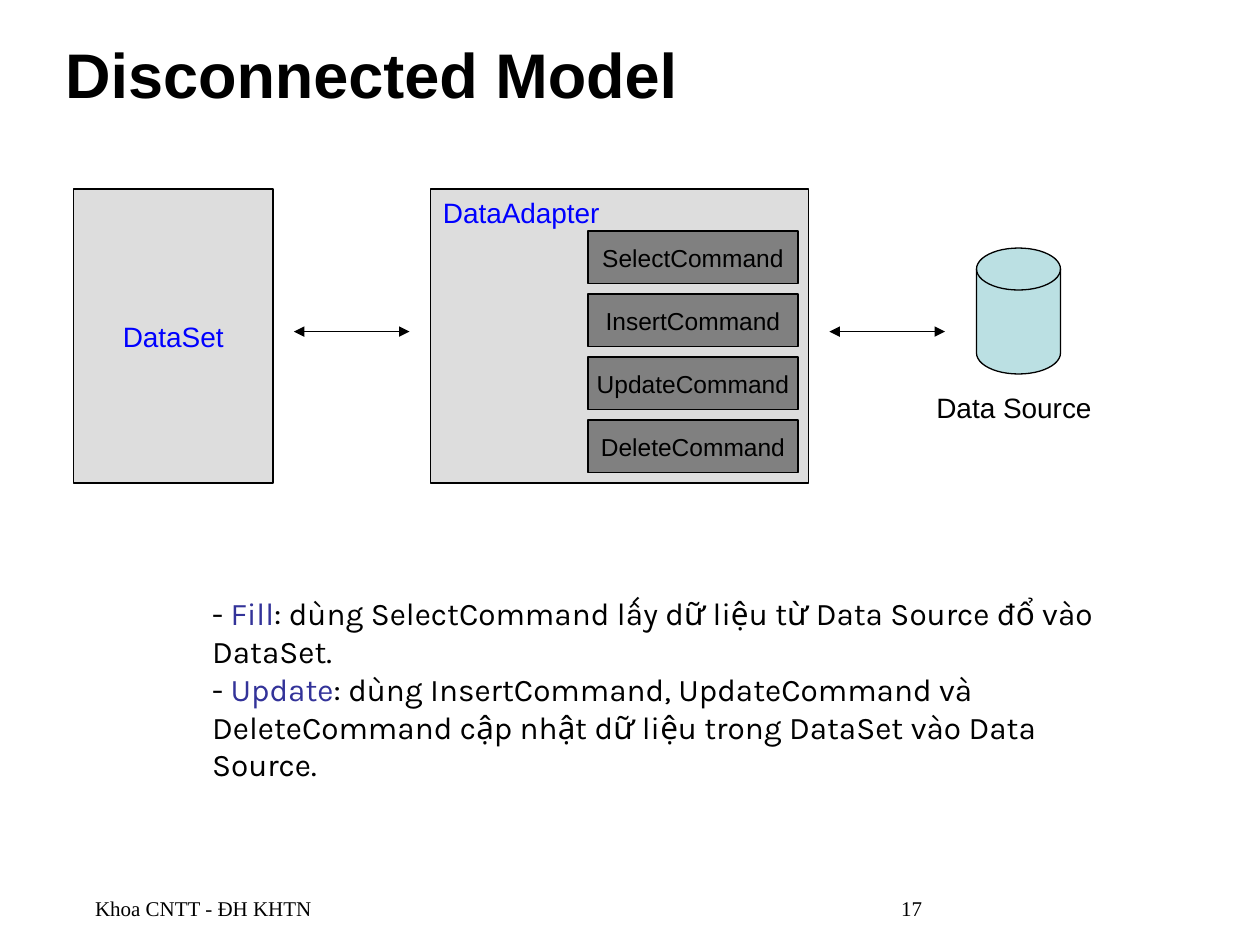
from lxml import etree
from pptx import Presentation
from pptx.dml.color import RGBColor
from pptx.enum.shapes import MSO_CONNECTOR, MSO_SHAPE
from pptx.enum.text import MSO_ANCHOR, MSO_AUTO_SIZE, PP_ALIGN
from pptx.oxml.ns import qn
from pptx.util import Pt

RECTANGLE, DISK = MSO_SHAPE.RECTANGLE, MSO_SHAPE.FLOWCHART_MAGNETIC_DISK
STRAIGHT = MSO_CONNECTOR.STRAIGHT
TOP, MIDDLE = MSO_ANCHOR.TOP, MSO_ANCHOR.MIDDLE
LEFT, CENTER, RIGHT = PP_ALIGN.LEFT, PP_ALIGN.CENTER, PP_ALIGN.RIGHT

BLACK = RGBColor(0, 0, 0)
BLUE = RGBColor(0, 0, 0xFF)
INDIGO = RGBColor(0x33, 0x33, 0x99)
LIGHT_GRAY = RGBColor(0xDD, 0xDD, 0xDD)
GRAY = RGBColor(0x80, 0x80, 0x80)
PALE_TEAL = RGBColor(0xBB, 0xE0, 0xE3)

TITLE = "Disconnected Model"
COMMANDS = ["SelectCommand", "InsertCommand", "UpdateCommand", "DeleteCommand"]
METHODS = [
    ("Fill", ": dùng SelectCommand lấy dữ liệu từ Data Source đổ vào DataSet."),
    ("Update", ": dùng InsertCommand, UpdateCommand và DeleteCommand "
               "cập nhật dữ liệu trong DataSet vào Data Source."),
]

TITLE_FONT = dict(name="Arial", size=Pt(36), bold=True)
LABEL_FONT = dict(name="Arial", size=Pt(16))
COMMAND_FONT = dict(name="Arial", size=Pt(14))
METHOD_FONT = dict(name="Karla", size=Pt(18))
FOOTER_FONT = dict(name="Times New Roman", size=Pt(12))

# Areas are left, top, width, height in points.
TITLE_AREA = (30, 12, 654, 60)
DATASET_AREA = (42, 108, 114, 168)
ADAPTER_AREA = (246, 108, 216, 168)
DISK_AREA = (558, 141.75, 48, 72)
METHODS_AREA = (42, 336, 594, 115)
COMMAND_LEFT, COMMAND_TOP, COMMAND_WIDTH, COMMAND_HEIGHT = 336, 132, 120, 30
COMMAND_STEP = 36
ARROW_LEFTS, ARROW_LENGTH, ARROW_Y = (168, 474), 66, 189.5
LABELS = [
    ("DataAdapter", (246, 108, 198, 26.5), BLUE),
    ("Data Source", (528, 219.5, 144, 26.5), BLACK),
]
FOOTERS = [
    ("Khoa CNTT - ĐH KHTN", (30, 508, 228, 37.5), LEFT),
    ("17", (366, 508, 168, 37.5), RIGHT),
]
FOOTER_INDENT = "17.25"


def points(area):
    return [Pt(value) for value in area]


def place(box, area):
    box.left, box.top, box.width, box.height = points(area)


def add_span(para, text, font, color=BLACK):
    span = para.add_run()
    span.text = text
    for key, value in font.items():
        setattr(span.font, key, value)
    span.font.color.rgb = color


def indent(para, amount):
    """Move the whole paragraph right, with no hanging first line."""
    settings = para._p.get_or_add_pPr()
    settings.set("marL", str(Pt(float(amount))))
    settings.set("indent", "0")
    return settings


def write(box, text, font, color=BLACK, align=LEFT, anchor=TOP, wrap=True):
    frame = box.text_frame
    frame.word_wrap = wrap
    frame.vertical_anchor = anchor
    para = frame.paragraphs[0]
    para.alignment = align
    add_span(para, text, font, color)
    return para


def add_block(page, kind, area, fill):
    block = page.shapes.add_shape(kind, *points(area))
    block.shadow.inherit = False
    block.fill.solid()
    block.fill.fore_color.rgb = fill
    block.line.color.rgb = BLACK
    block.line.width = Pt(0.75)
    return block


def add_double_arrow(page, left):
    arrow = page.shapes.add_connector(
        STRAIGHT, *points((left, ARROW_Y, left + ARROW_LENGTH, ARROW_Y)))
    arrow.line.color.rgb = BLACK
    arrow.line.width = Pt(0.75)
    line = arrow.line._get_or_add_ln()
    for end in ("a:headEnd", "a:tailEnd"):
        etree.SubElement(line, qn(end), type="triangle")
    etree.SubElement(arrow._element.spPr, qn("a:effectLst"))


def add_methods(page):
    body = page.placeholders[1]
    place(body, METHODS_AREA)
    frame = body.text_frame
    frame.auto_size = MSO_AUTO_SIZE.NONE
    frame.vertical_anchor = TOP
    for index, (name, description) in enumerate(METHODS):
        para = frame.add_paragraph() if index else frame.paragraphs[0]
        para.space_before = Pt(0)
        etree.SubElement(indent(para, 72), qn("a:buNone"))
        add_span(para, "- ", METHOD_FONT)
        add_span(para, name, METHOD_FONT, INDIGO)
        add_span(para, description, METHOD_FONT)


def main():
    deck = Presentation()
    deck.slide_width, deck.slide_height = Pt(720), Pt(540)
    page = deck.slides.add_slide(deck.slide_layouts[1])

    title = page.shapes.title
    place(title, TITLE_AREA)
    title.text_frame.auto_size = MSO_AUTO_SIZE.NONE
    write(title, TITLE, TITLE_FONT, anchor=MIDDLE)

    dataset = add_block(page, RECTANGLE, DATASET_AREA, LIGHT_GRAY)
    write(dataset, "DataSet", LABEL_FONT, BLUE, CENTER, MIDDLE, wrap=False)

    add_block(page, RECTANGLE, ADAPTER_AREA, LIGHT_GRAY)
    for row, command in enumerate(COMMANDS):
        area = (COMMAND_LEFT, COMMAND_TOP + row * COMMAND_STEP,
                COMMAND_WIDTH, COMMAND_HEIGHT)
        block = add_block(page, RECTANGLE, area, GRAY)
        write(block, command, COMMAND_FONT, BLACK, CENTER, MIDDLE, wrap=False)

    add_block(page, DISK, DISK_AREA, PALE_TEAL)
    for text, area, color in LABELS:
        write(page.shapes.add_textbox(*points(area)), text, LABEL_FONT, color)
    for left in ARROW_LEFTS:
        add_double_arrow(page, left)

    add_methods(page)
    for text, area, align in FOOTERS:
        box = page.shapes.add_textbox(*points(area))
        indent(write(box, text, FOOTER_FONT, align=align), FOOTER_INDENT)

    deck.save("out.pptx")


if __name__ == "__main__":
    main()
